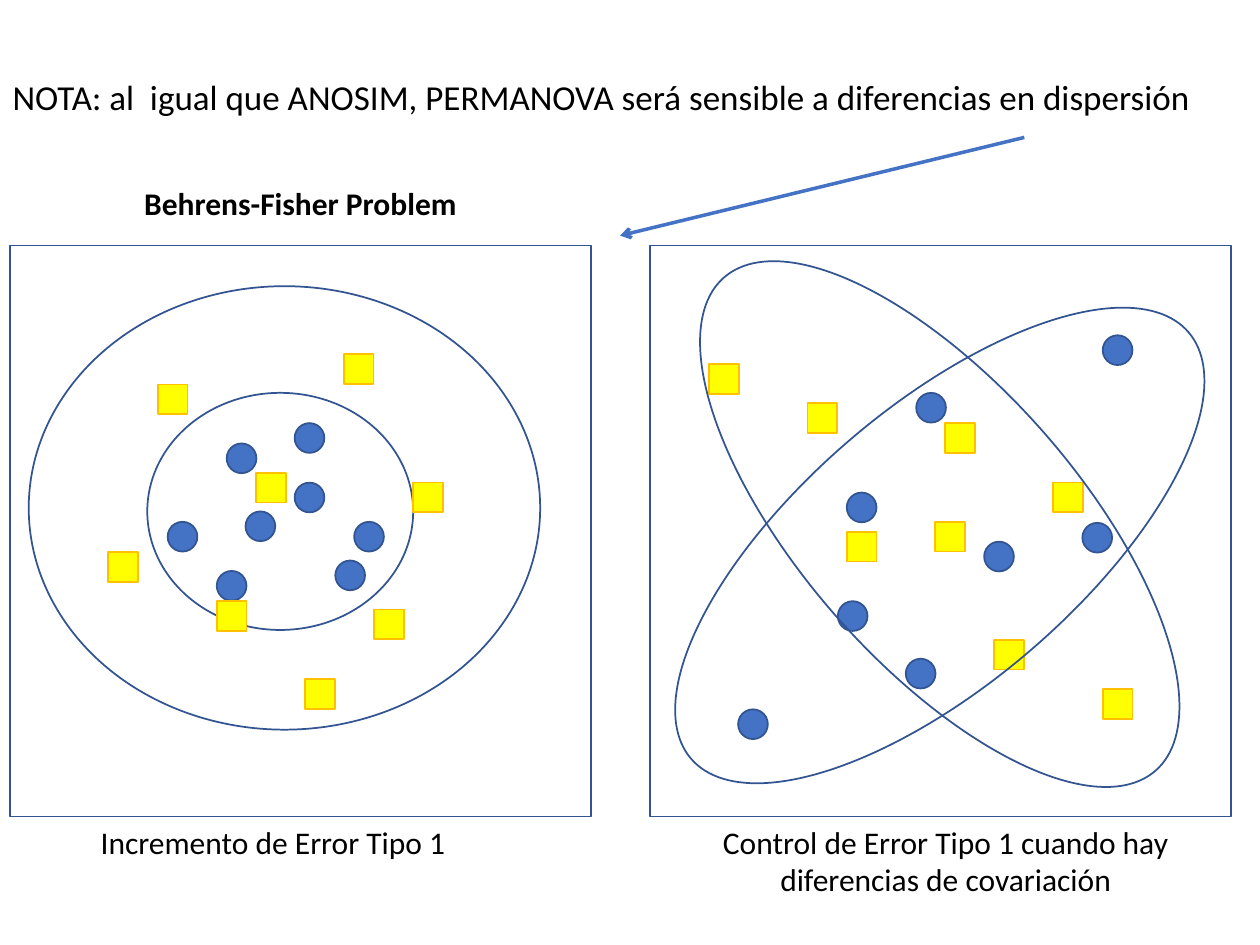
from dataclasses import dataclass

from lxml.etree import SubElement
from pptx import Presentation
from pptx.dml.color import RGBColor
from pptx.enum.shapes import MSO_CONNECTOR as Connector, MSO_SHAPE as Preset
from pptx.enum.text import MSO_ANCHOR as Anchor, MSO_AUTO_SIZE as AutoSize, PP_ALIGN as Align
from pptx.oxml.ns import qn
from pptx.util import Cm, Pt

COLORS = {"text": "000000", "outline": "325491", "blue": "4472C4",
          "yellow": "FFFF00", "amber": "FFC000"}
MARKER_SIZE = 0.6


@dataclass(frozen=True)
class Box:
    """Left, top, width and height in centimetres."""
    left: float
    top: float
    width: float
    height: float

    def lengths(self) -> tuple:
        return tuple(Cm(v) for v in (self.left, self.top, self.width, self.height))


@dataclass(frozen=True)
class Style:
    preset: Preset
    line: str
    fill: str = ""


@dataclass(frozen=True)
class Label:
    text: str
    box: Box
    align: Align
    size: int = 18
    bold: bool = False


@dataclass(frozen=True)
class Panel:
    frame: Box
    circles: tuple
    squares: tuple


FRAME = Style(Preset.RECTANGLE, "outline")
ENVELOPE = Style(Preset.OVAL, "outline")
CIRCLE = Style(Preset.OVAL, "outline", "blue")
SQUARE = Style(Preset.RECTANGLE, "amber", "yellow")

# Left panel: same centre, different dispersion
BEHRENS_FISHER = Panel(
    Box(0.2, 4.95, 11.71, 11.51),
    circles=((3.38, 10.52), (5.94, 9.73), (4.95, 10.31), (6.76, 11.3),
             (4.57, 8.94), (4.37, 11.51), (7.14, 10.52), (5.94, 8.53)),
    squares=((3.18, 7.75), (2.18, 11.13), (7.54, 12.29), (6.93, 7.14),
             (6.15, 13.69), (5.16, 9.53), (8.33, 9.73), (4.37, 12.12)),
)
CONCENTRIC = ((Box(2.97, 7.92, 5.36, 4.78), 0), (Box(0.58, 5.77, 10.31, 8.94), 0))

# Right panel: same dispersion, different covariation
COVARIATION = Panel(
    Box(13.11, 4.95, 11.71, 11.51),
    circles=((14.88, 14.3), (17.07, 9.93), (16.89, 12.12), (19.84, 10.92),
             (18.47, 7.92), (18.26, 13.28), (21.82, 10.54), (22.23, 6.76)),
    squares=((14.3, 7.34), (20.04, 12.9), (16.28, 8.13), (21.23, 9.73),
             (19.05, 8.53), (17.07, 10.72), (18.85, 10.52), (22.23, 13.89)),
)
CROSSED = ((Box(16.15, 3.96, 5.59, 13.21), 318.8), (Box(16.15, 4.39, 5.59, 13.21), 229.4))

NOTE = Label("NOTA: al  igual que ANOSIM, PERMANOVA será sensible a diferencias en dispersión",
             Box(0, 1.4, 25.4, 1.12), Align.LEFT, size=20)
CAPTIONS = (
    Label("Incremento de Error Tipo 1", Box(1.78, 16.46, 9.93, 1.02), Align.LEFT),
    Label("Control de Error Tipo 1 cuando hay diferencias de covariación",
          Box(14.1, 16.46, 9.93, 1.8), Align.CENTER),
    Label("Behrens-Fisher Problem", Box(0.41, 3.58, 11.3, 1.02), Align.CENTER, bold=True),
)


def rgb(key: str) -> RGBColor:
    return RGBColor.from_string(COLORS[key])


def draw_shape(shapes, style: Style, box: Box, rotation: float = 0) -> None:
    shape = shapes.add_shape(style.preset, *box.lengths())
    shape.rotation = rotation
    shape.shadow.inherit = False
    shape.line.color.rgb = rgb(style.line)
    shape.line.width = Pt(1)
    if style.fill:
        shape.fill.solid()
        shape.fill.fore_color.rgb = rgb(style.fill)
    else:
        shape.fill.background()


def draw_envelopes(slide, envelopes: tuple) -> None:
    group = slide.shapes.add_group_shape().shapes
    for box, rotation in envelopes:
        draw_shape(group, ENVELOPE, box, rotation)


def draw_panel(slide, panel: Panel) -> None:
    group = slide.shapes.add_group_shape().shapes
    draw_shape(group, FRAME, panel.frame)
    for style, spots in ((CIRCLE, panel.circles), (SQUARE, panel.squares)):
        for left, top in spots:
            draw_shape(group, style, Box(left, top, MARKER_SIZE, MARKER_SIZE))


def draw_arrow(slide, start: tuple, end: tuple) -> None:
    arrow = slide.shapes.add_connector(Connector.STRAIGHT, *map(Cm, start + end))
    arrow.line.color.rgb = rgb("blue")
    arrow.line.width = Pt(2)
    SubElement(arrow.line._get_or_add_ln(), qn("a:tailEnd"), type="arrow")
    SubElement(arrow._element.spPr, qn("a:effectLst"))


def write_label(holder, label: Label) -> None:
    holder.left, holder.top, holder.width, holder.height = label.box.lengths()
    frame = holder.text_frame
    frame.text = label.text
    frame_format = {"word_wrap": True, "auto_size": AutoSize.NONE,
                    "vertical_anchor": Anchor.TOP}
    for name, value in frame_format.items():
        setattr(frame, name, value)
    paragraph = frame.paragraphs[0]
    paragraph.alignment = label.align
    font = paragraph.runs[0].font
    font_format = {"name": "Calibri", "size": Pt(label.size), "bold": label.bold}
    for name, value in font_format.items():
        setattr(font, name, value)
    font.color.rgb = rgb("text")


def main() -> None:
    deck = Presentation()
    deck.slide_width, deck.slide_height = Cm(25.4), Cm(19.05)
    slide = deck.slides.add_slide(deck.slide_layouts[5])
    write_label(slide.shapes.title, NOTE)

    # Diagrams, with the arrow from the note to the problem
    draw_envelopes(slide, CONCENTRIC)
    draw_panel(slide, BEHRENS_FISHER)
    draw_arrow(slide, (20.65, 2.77), (12.5, 4.75))
    draw_panel(slide, COVARIATION)
    draw_envelopes(slide, CROSSED)

    # Heading and captions
    for caption in CAPTIONS:
        write_label(slide.shapes.add_textbox(*caption.box.lengths()), caption)
    deck.save("out.pptx")


if __name__ == "__main__":
    main()
